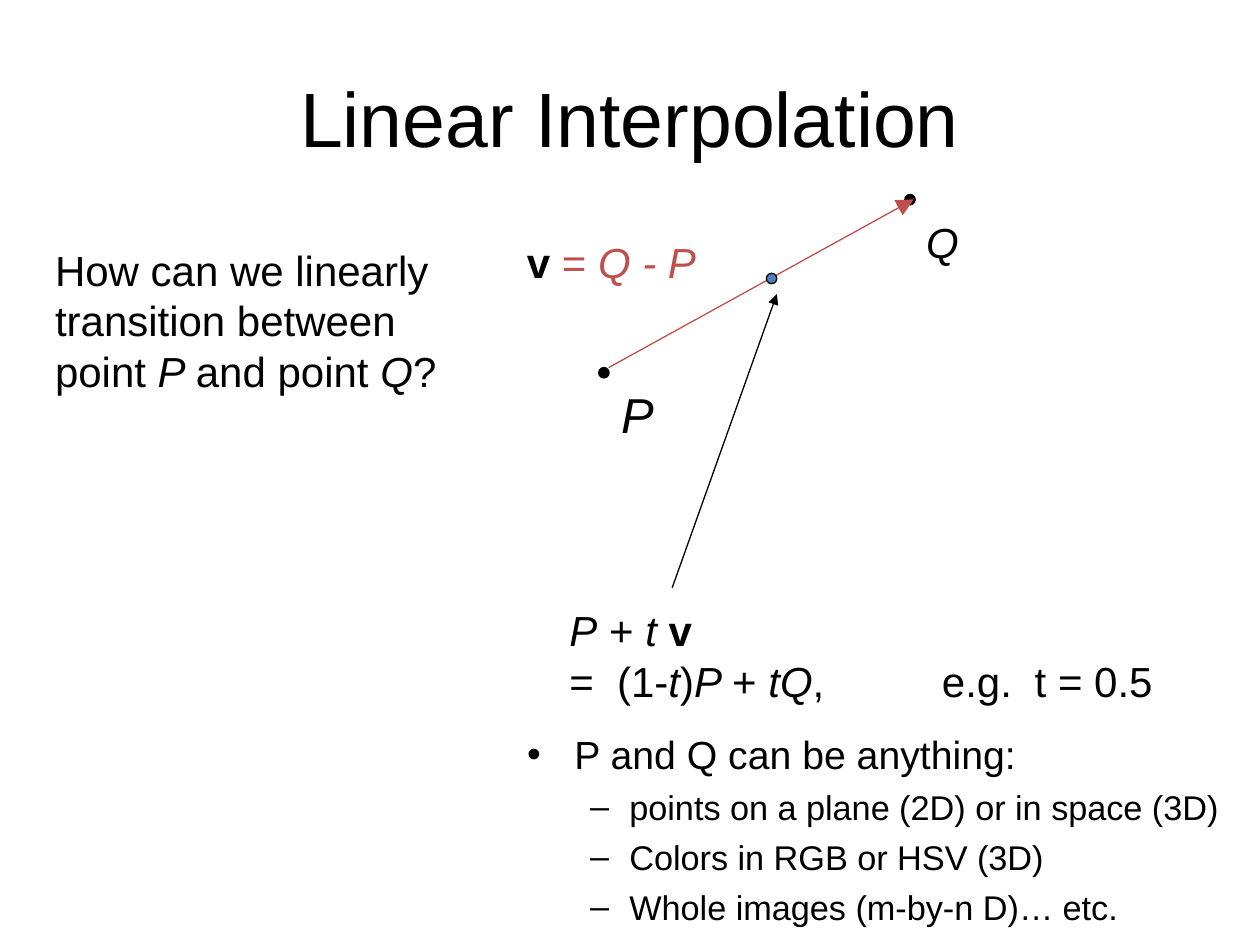
"""Build the slide on linear interpolation between two points."""
from dataclasses import dataclass

from lxml import etree
from pptx import Presentation
from pptx.dml.color import RGBColor
from pptx.enum.shapes import MSO_CONNECTOR, MSO_SHAPE
from pptx.enum.text import MSO_ANCHOR, MSO_AUTO_SIZE, PP_ALIGN
from pptx.oxml.ns import qn
from pptx.util import Cm, Pt

LINE = MSO_CONNECTOR.STRAIGHT
OVAL = MSO_SHAPE.OVAL
MIDDLE = MSO_ANCHOR.MIDDLE
FIXED = MSO_AUTO_SIZE.NONE
CENTER = PP_ALIGN.CENTER


@dataclass(frozen=True)
class Theme:
    """Colours, font and type sizes of the slide."""
    ink: RGBColor = RGBColor(0, 0, 0)
    red: RGBColor = RGBColor(0xC0, 0x50, 0x4D)
    blue: RGBColor = RGBColor(0x4F, 0x81, 0xBD)
    font: str = "Arial"
    title: float = 44
    label: float = 28
    text: float = 24
    item: float = 22.4
    sub: float = 19.6
    gap: float = 5
    rule: float = 0.75


THEME = Theme()


def place(shape, left, top, width, height):
    """Move and size a shape, in centimetres."""
    shape.left, shape.top = Cm(left), Cm(top)
    shape.width, shape.height = Cm(width), Cm(height)


def style(font, size, color=THEME.ink, mark=""):
    """Format a font; mark holds b for bold and i for italic."""
    font.name, font.size = THEME.font, Pt(size)
    font.color.rgb = color
    font.bold, font.italic = "b" in mark, "i" in mark


def add_tabs(para, stops):
    """Give a paragraph left tab stops, in centimetres."""
    tabs = etree.SubElement(para._p.get_or_add_pPr(), qn("a:tabLst"))
    for stop in stops:
        etree.SubElement(tabs, qn("a:tab"), pos=str(Cm(stop)), algn="l")


def add_text(slide, box, lines, size=THEME.text, stops=()):
    """Add a text box; each line is a list of (text, mark, colour) parts."""
    shape = slide.shapes.add_textbox(0, 0, 0, 0)
    place(shape, *box)
    frame = shape.text_frame
    frame.word_wrap = True
    for i, parts in enumerate(lines):
        para = frame.add_paragraph() if i else frame.paragraphs[0]
        if stops:
            add_tabs(para, stops)
        for text, mark, *color in parts:
            if text == "\n":
                para.add_line_break()
                continue
            run = para.add_run()
            run.text = text
            style(run.font, size, *(color or [THEME.ink]), mark)


def add_dot(slide, left, top, color=THEME.ink):
    """Add a small round point."""
    dot = slide.shapes.add_shape(OVAL, 0, 0, 0, 0)
    place(dot, left, top, 0.21, 0.21)
    dot.shadow.inherit = False
    dot.fill.solid()
    dot.fill.fore_color.rgb = color
    dot.line.color.rgb = THEME.ink
    dot.line.width = Pt(THEME.rule)


def add_arrow(slide, start, end, color=THEME.ink, head="med"):
    """Add a straight arrow that points at its end."""
    ends = [Cm(n) for n in (*start, *end)]
    arrow = slide.shapes.add_connector(LINE, *ends)
    arrow.line.color.rgb = color
    arrow.line.width = Pt(THEME.rule)
    line = arrow.line._get_or_add_ln()
    etree.SubElement(line, qn("a:tailEnd"), type="triangle", w=head, len=head)
    etree.SubElement(arrow._element.spPr, qn("a:effectLst"))


def set_title(slide, text):
    """Fill the title placeholder."""
    title = slide.shapes.title
    place(title, 1.27, 0.76, 22.86, 3.18)
    frame = title.text_frame
    frame.text = text
    frame.auto_size, frame.vertical_anchor = FIXED, MIDDLE
    para = frame.paragraphs[0]
    para.alignment = CENTER
    style(para.runs[0].font, THEME.title)


def set_list(slide, head, items):
    """Fill the body placeholder with a heading and its sub-items."""
    body = slide.placeholders[1]
    place(body, 10.37, 14.6, 15.03, 4.45)
    frame = body.text_frame
    frame.text = "\n".join([head, *items])
    frame.auto_size = FIXED
    for i, para in enumerate(frame.paragraphs):
        para.level = min(i, 1)
        para.space_before = Pt(THEME.gap if i else 0)
        style(para.runs[0].font, THEME.sub if i else THEME.item)


def main():
    """Build and save the slide."""
    deck = Presentation()
    deck.slide_width, deck.slide_height = Cm(25.4), Cm(19.05)
    slide = deck.slides.add_slide(deck.slide_layouts[1])
    set_title(slide, "Linear Interpolation")
    set_list(slide, "P and Q can be anything:", [
        "points on a plane (2D) or in space (3D)",
        "Colors in RGB or HSV (3D)",
        "Whole images (m-by-n D)… etc.",
    ])
    add_text(slide, (0.86, 4.8, 8.4, 3.33), [
        [("How can we linearly", "")],
        [("transition between", ""), ("\n", ""), ("point ", ""),
         ("P ", "i"), ("and point ", ""), ("Q", "i"), ("?", "")],
    ])

    add_dot(slide, 12.07, 7.41)
    add_text(slide, (12.27, 7.62, 1.37, 1.45), [[("P", "i")]], THEME.label)
    add_dot(slide, 18.24, 3.92)
    add_text(slide, (18.42, 4.24, 1.4, 1.27), [[("Q", "i")]])
    add_arrow(slide, (12.27, 7.41), (18.42, 4.02), THEME.red, "lg")
    add_text(slide, (10.37, 4.65, 4.09, 1.27), [
        [("v ", "b"), ("= ", "", THEME.red), ("Q - P", "i", THEME.red)],
    ])

    add_dot(slide, 15.45, 5.51, THEME.blue)
    add_arrow(slide, (13.55, 11.85), (15.66, 5.93))
    add_text(slide, (11.23, 12.07, 12.47, 2.31), [
        [("P", "i"), (" + ", ""), ("t ", "i"), ("v", "b")],
        [("=\t(1-", ""), ("t", "i"), (")", ""), ("P ", "i"), ("+ ", ""),
         ("tQ", "i"), (",\te.g.\tt = 0.5", "")],
    ], stops=(0.96, 7.51, 9.38))
    deck.save("out.pptx")


if __name__ == "__main__":
    main()
